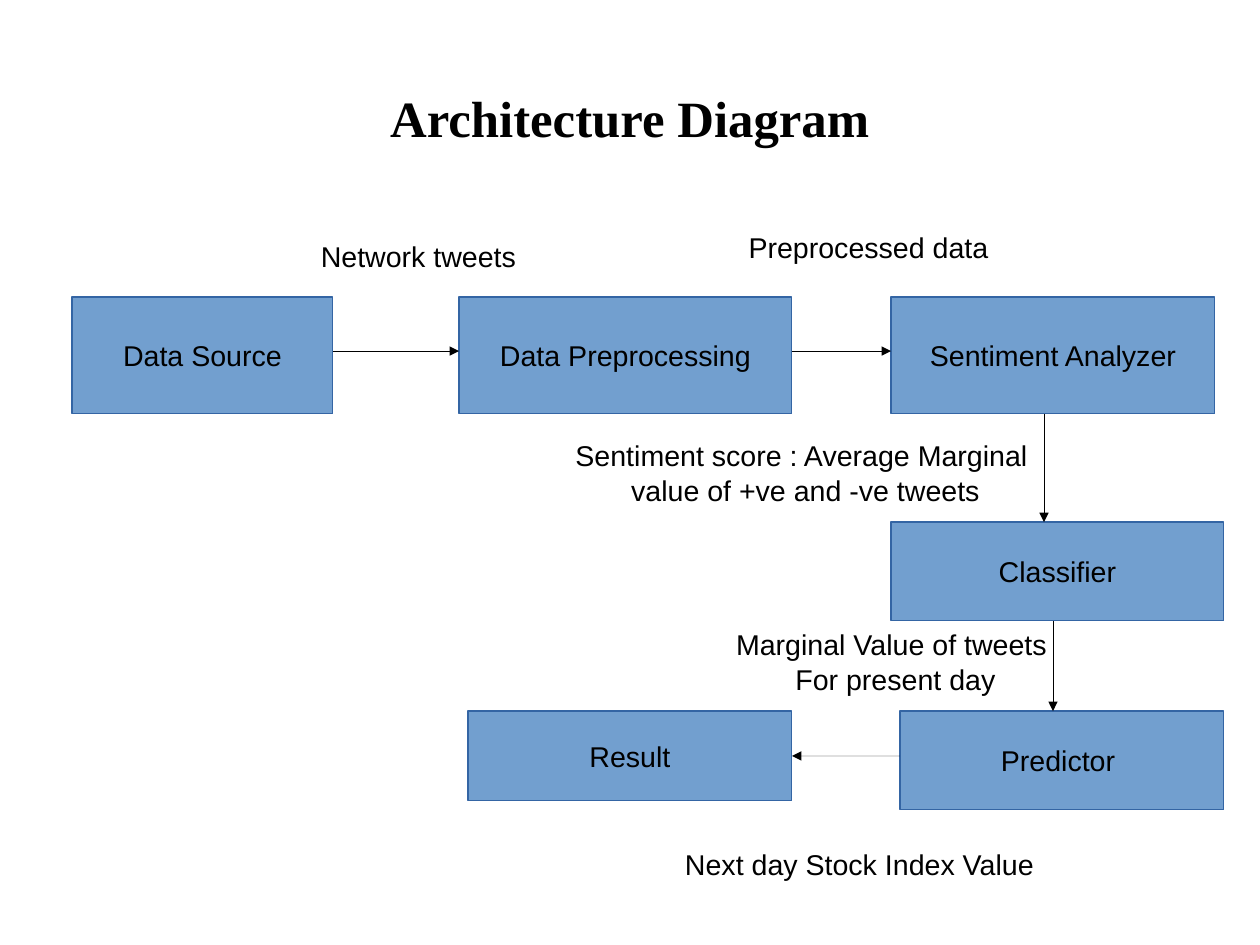
from lxml import etree
from pptx import Presentation
from pptx.dml.color import RGBColor
from pptx.enum.shapes import MSO_CONNECTOR, MSO_SHAPE
from pptx.enum.text import MSO_ANCHOR, PP_ALIGN
from pptx.oxml.ns import qn
from pptx.util import Inches, Pt

STRAIGHT = MSO_CONNECTOR.STRAIGHT
RECTANGLE = MSO_SHAPE.RECTANGLE
MIDDLE = MSO_ANCHOR.MIDDLE
CENTER = PP_ALIGN.CENTER
RIGHT_SIDE = 3

COLORS = {"text": "000000", "box": "729FCF", "border": "3465A4", "paper": "FFFFFF"}

# The layout sits on a metric grid; all lengths below are in centimetres.
SLIDE_SIZE = (28, 21)
TITLE_BOX = (1.4, 0.84, 25.2, 3.51)
# left, top, width, height
STAGES = {
    "Data Source": (1.6, 6.6, 5.8, 2.6),
    "Data Preprocessing": (10.2, 6.6, 7.4, 2.6),
    "Sentiment Analyzer": (19.8, 6.6, 7.2, 2.6),
    "Classifier": (19.8, 11.6, 7.4, 2.2),
    "Predictor ": (20, 15.8, 7.2, 2.2),
    "Result": (10.4, 15.8, 7.2, 2),
}
LABELS = [
    (["Network tweets"], (7.2, 5, 4.2, 1.4)),
    (["Preprocessed data"], (16.8, 4.8, 5, 1.4)),
    (["Sentiment score : Average Marginal ", "value of +ve and -ve tweets"],
     (15.2, 9.8, 5.4, 1.4)),
    (["Marginal Value of tweets ", "For present day"], (17.2, 14.2, 5.4, 1)),
    (["Next day Stock Index Value"], (16.8, 18.2, 4.6, 2)),
]
# x1, y1, x2, y2
FLOWS = [
    (7.4, 7.8, 10.2, 7.8),
    (17.6, 7.8, 19.8, 7.8),
    (23.2, 9.2, 23.2, 11.6),
    (23.4, 13.8, 23.4, 15.8),
]
RESULT_FLOW = (20, 16.8, 17.6, 16.8)


def lengths(values):
    """Turn centimetres into slide lengths."""
    return [Inches(value / 2.54) for value in values]


def rgb(name):
    return RGBColor.from_string(COLORS[name])


def add_text(tf, lines, size, font, bold=False):
    tf.vertical_anchor = MIDDLE
    for i, line in enumerate(lines):
        p = tf.add_paragraph() if i else tf.paragraphs[0]
        p.alignment = CENTER
        r = p.add_run()
        r.text = line
        r.font.size = Pt(size)
        r.font.name = font
        r.font.bold = bold
        r.font.color.rgb = rgb("text")


def add_title(s, text, box):
    title = s.shapes.title
    title.left, title.top, title.width, title.height = lengths(box)
    tf = title.text_frame
    tf.margin_left = tf.margin_top = tf.margin_right = tf.margin_bottom = 0
    add_text(tf, [text], 32, "Times New Roman", bold=True)


def add_box(s, lines, box, fill, line):
    sp = s.shapes.add_shape(RECTANGLE, *lengths(box))
    sp.shadow.inherit = False
    sp.fill.solid()
    sp.fill.fore_color.rgb = rgb(fill)
    sp.line.color.rgb = rgb(line)
    sp.line.width = Pt(0.75)
    sp.text_frame.word_wrap = False
    add_text(sp.text_frame, lines, 18, "Arial")
    return sp


def add_arrow(s, ends):
    """Draw a hairline arrow: without a theme style the line has no set width."""
    arrow = s.shapes.add_connector(STRAIGHT, *lengths(ends))
    arrow.line.color.rgb = rgb("text")
    element = arrow._element
    element.remove(element.find(qn("p:style")))
    ln = element.spPr.find(qn("a:ln"))
    etree.SubElement(ln, qn("a:tailEnd"), type="triangle")
    etree.SubElement(element.spPr, qn("a:effectLst"))
    return arrow


def add_diagram(s):
    stages = {name: add_box(s, [name], box, "box", "border")
              for name, box in STAGES.items()}
    for ends in FLOWS:
        add_arrow(s, ends)
    add_arrow(s, RESULT_FLOW).end_connect(stages["Result"], RIGHT_SIDE)
    for lines, box in LABELS:
        add_box(s, lines, box, "paper", "paper")


def main():
    prs = Presentation()
    prs.slide_width, prs.slide_height = lengths(SLIDE_SIZE)
    s = prs.slides.add_slide(prs.slide_layouts.get_by_name("Title Only"))
    add_title(s, "Architecture Diagram", TITLE_BOX)
    add_diagram(s)
    prs.save("out.pptx")


if __name__ == "__main__":
    main()
